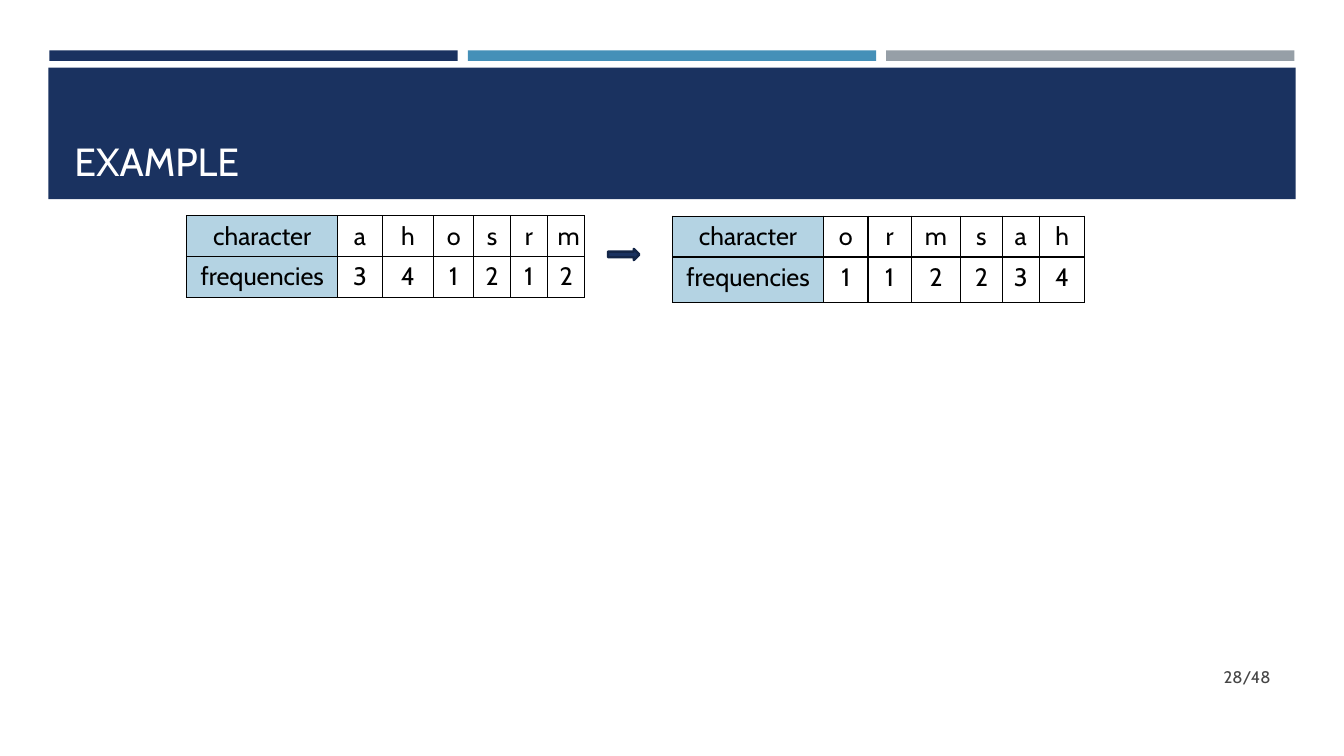
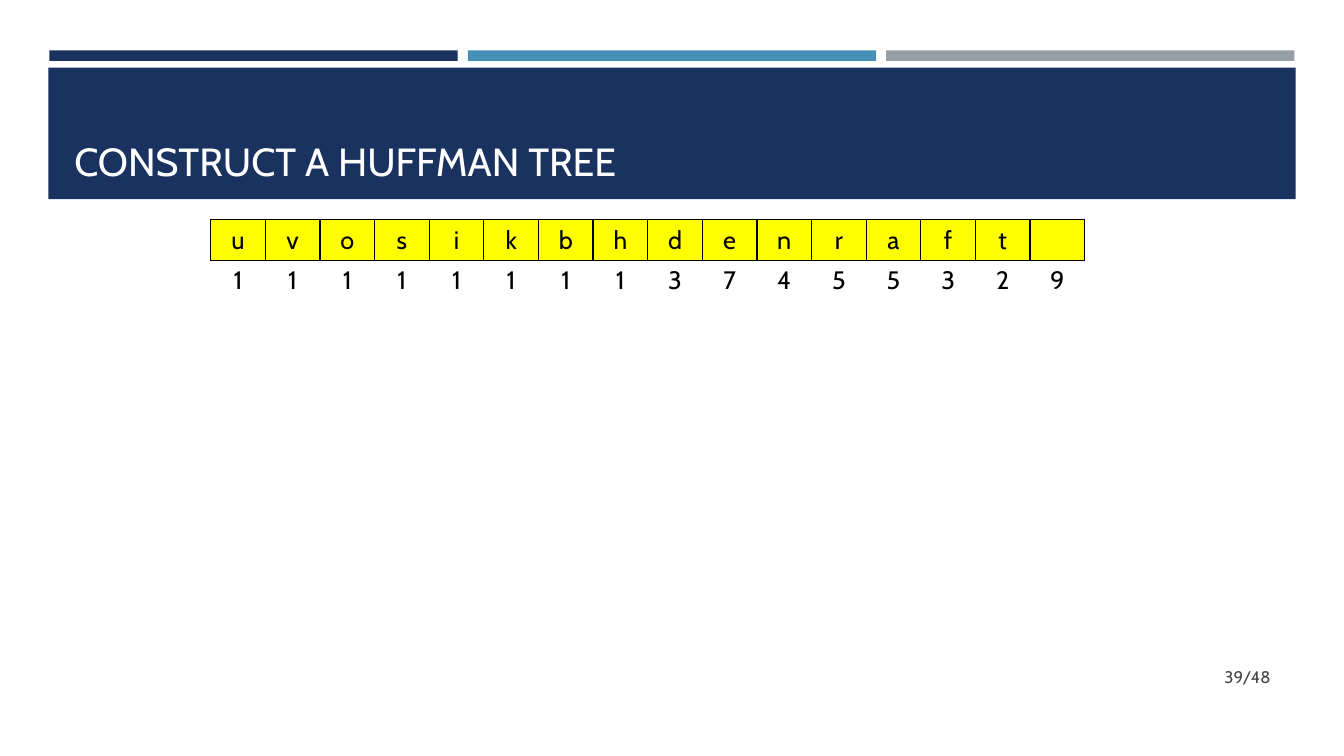
from lxml.etree import SubElement
from pptx import Presentation
from pptx.dml.color import RGBColor
from pptx.enum.shapes import MSO_SHAPE as Shape
from pptx.enum.text import MSO_ANCHOR as Anchor, PP_ALIGN as Align
from pptx.oxml import parse_xml
from pptx.oxml.ns import nsdecls, qn
from pptx.util import Inches, Pt

FONT = "Cabin"
COLORS = {
    "navy": "1A3260", "blue": "4590B8", "gray": "969FA7", "edge": "132547",
    "pale": "B4D3E3", "yellow": "FFFF00", "white": "FFFFFF",
    "black": "000000", "footer": "454545",
}
RGB = {name: RGBColor.from_string(value) for name, value in COLORS.items()}

deck = Presentation()
deck.slide_width, deck.slide_height = Inches(13.33), Inches(7.5)


def area(left, top, width, height):
    """Turn percentages of the slide's size into lengths."""
    wide, high = deck.slide_width / 100, deck.slide_height / 100
    return int(left * wide), int(top * high), int(width * wide), int(height * high)


def write(frame, text, size=18, color="black", align=Align.LEFT, anchor=None):
    if anchor is not None:
        frame.word_wrap = True
        frame.vertical_anchor = anchor
    para = frame.paragraphs[0]
    para.alignment = align
    span = para.add_run()
    span.text = text
    span.font.name, span.font.size = FONT, Pt(size)
    span.font.color.rgb = RGB[color]


BAR_LEFT, BAR_WIDTH, BAR_STEP = 3.68, 30.38, 31.13
BANDS = [(Shape.RECTANGLE, (BAR_LEFT + i * BAR_STEP, 6.67, BAR_WIDTH, 1.4), color)
         for i, color in enumerate(("navy", "blue", "gray"))]
BANDS.append((Shape.RECTANGLE, (3.6, 8.95, 92.8, 17.4), "navy"))
SORT_ARROW = (Shape.RIGHT_ARROW, (45.24, 32.93, 2.33, 1.47), "navy")

# Each table: left, top, column widths, row heights, label/header fills, two rows
PAGES = [
    {"title": "EXAMPLE", "number": "28/48", "shapes": [SORT_ARROW], "tables": [
        {"at": (13.88, 28.53), "rows": (5.4, 5.4), "framed": True,
         "columns": (11.25, 3.3, 3.83, 3, 2.7, 2.78, 2.78),
         "cells": ("character a h o s r m".split(), "frequencies 3 4 1 2 1 2".split())},
        {"at": (50.03, 28.6), "rows": (5.4, 6), "framed": True,
         "columns": (11.25, 3.3, 3.23, 3.68, 3.08, 2.78, 3.38),
         "cells": ("character o r m s a h".split(), "frequencies 1 1 2 2 3 4".split())},
    ]},
    {"title": "CONSTRUCT A HUFFMAN TREE", "number": "39/48", "shapes": [], "tables": [
        {"at": (15.68, 29.07), "rows": (5.4, 5.4), "framed": False,
         "columns": (65.04 / 16,) * 16,
         "cells": ([*"uvosikbhdenraft", ""], [*"1111111137455329"])},
    ]},
]

for content in PAGES:
    page = deck.slides.add_slide(deck.slide_layouts[6])

    for preset, place, color in BANDS + content["shapes"]:
        shape = page.shapes.add_shape(preset, *area(*place))
        shape.shadow.inherit = False
        shape.fill.solid()
        shape.fill.fore_color.rgb = RGB[color]
        if preset == Shape.RIGHT_ARROW:
            shape.line.color.rgb = RGB["edge"]
            shape.line.width = Pt(1.75)
        else:
            shape.line.fill.background()

    title = page.shapes.add_textbox(*area(4.8, 10.27, 90.47, 14.8))
    write(title.text_frame, content["title"], size=28, color="white", anchor=Anchor.BOTTOM)
    number = page.shapes.add_textbox(*area(86.65, 86.8, 8.63, 5.33))
    write(number.text_frame, content["number"], size=12, color="footer",
          align=Align.RIGHT, anchor=Anchor.MIDDLE)

    for grid in content["tables"]:
        columns, rows, framed = grid["columns"], grid["rows"], grid["framed"]
        place = area(*grid["at"], sum(columns), sum(rows))
        table = page.shapes.add_table(len(rows), len(columns), *place).table
        table.first_row = table.horz_banding = False
        for column, width in zip(table.columns, columns):
            column.width = area(0, 0, width, 0)[2]
        for row, height in zip(table.rows, rows):
            row.height = area(0, 0, 0, height)[3]

        for r, texts in enumerate(grid["cells"]):
            for c, text in enumerate(texts):
                cell = table.cell(r, c)
                write(cell.text_frame, text, align=Align.CENTER)
                if framed:
                    fill = "pale" if c == 0 else "white"
                else:
                    fill = "yellow" if r == 0 else None
                if fill:
                    cell.fill.solid()
                    cell.fill.fore_color.rgb = RGB[fill]
                else:
                    cell.fill.background()

                properties = cell._tc.get_or_add_tcPr()
                for position, side in enumerate("LRTB"):
                    edge = parse_xml(f'<a:ln{side} {nsdecls("a")} w="{Pt(1)}"/>')
                    if fill or side == "T":
                        paint = SubElement(edge, qn("a:solidFill"))
                        SubElement(paint, qn("a:srgbClr"), val=COLORS["black"])
                    else:
                        SubElement(edge, qn("a:noFill"))
                    properties.insert(position, edge)

deck.save("out.pptx")
